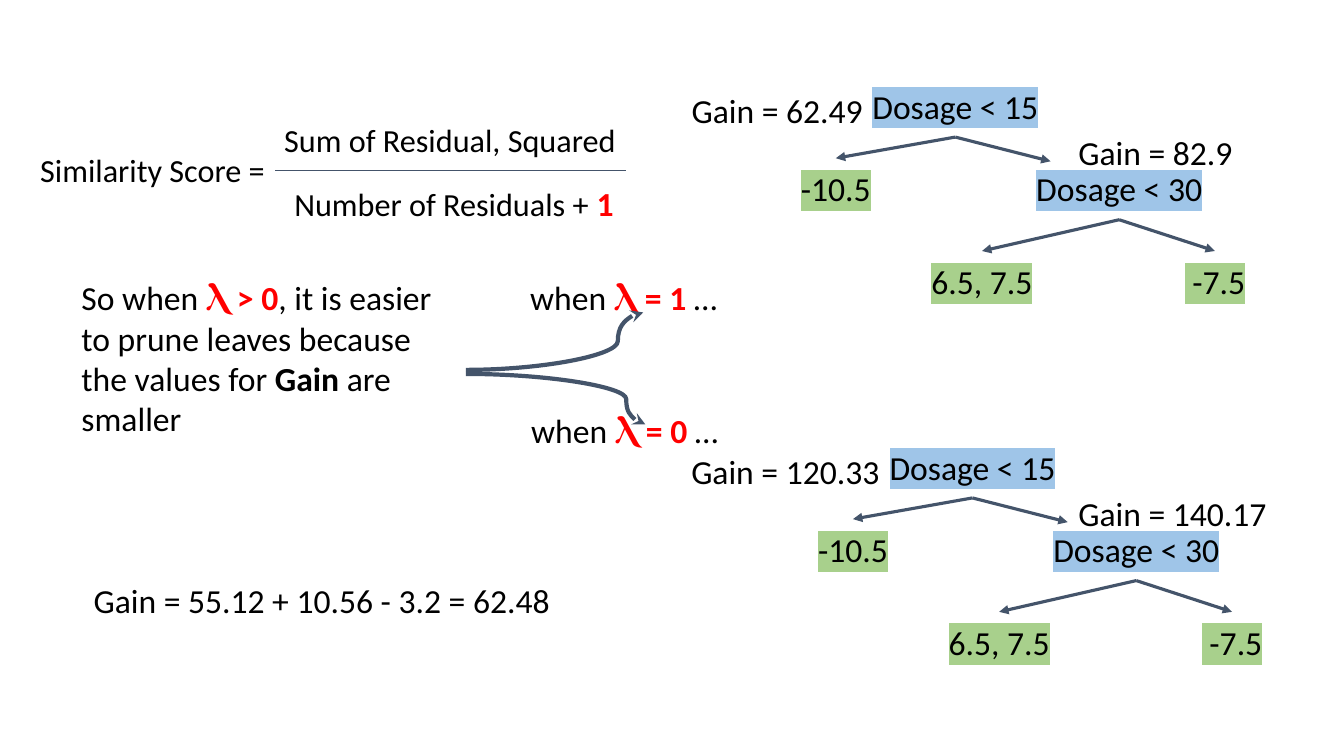
from dataclasses import dataclass
from typing import Optional

from lxml import etree
from pptx import Presentation
from pptx import util as u
from pptx.dml import color as c
from pptx.enum import shapes as s, text as t
from pptx.oxml import ns

BLACK = c.RGBColor(0x00, 0x00, 0x00)
RED = c.RGBColor(0xFF, 0x00, 0x00)
SLATE = c.RGBColor(0x44, 0x54, 0x6A)
BLUE = c.RGBColor(0x9F, 0xC5, 0xE8)
GREEN = c.RGBColor(0xA8, 0xD0, 0x8C)
FONT = "Calibri"
ROW = 0.61
LEAF = 2.12


@dataclass(frozen=True)
class Word:
    text: str
    size: int = 24
    bold: bool = False
    tint: c.RGBColor = BLACK
    mark: Optional[c.RGBColor] = None


@dataclass(frozen=True)
class Label:
    left: float
    top: float
    width: float
    words: tuple[Word, ...]
    height: float = ROW
    align: t.PP_ALIGN = t.PP_ALIGN.LEFT


@dataclass(frozen=True)
class Node:
    name: str
    left: float
    top: float
    width: float
    text: str
    mark: c.RGBColor


@dataclass(frozen=True)
class Tree:
    shift: float
    drop: float
    left: float
    gain: str
    split: str


@dataclass(frozen=True)
class Curve:
    start: tuple[float, float]
    end: tuple[float, float]
    bend: int


NODES = (
    Node("low", 7.23, 1.57, LEAF, "-10.5", GREEN),
    Node("split", 10.04, 1.57, LEAF, "Dosage < 30", BLUE),
    Node("root", 7.78, 0.75, 3.39, "Dosage < 15", BLUE),
    Node("mid", 8.68, 2.49, LEAF, "6.5, 7.5", GREEN),
    Node("high", 10.99, 2.49, LEAF, " -7.5", GREEN),
)
LINKS = (("root", "low"), ("split", "mid"), ("split", "high"))
TREES = (
    Tree(0, 0, 6.13, "Gain = 62.49", "Gain = 82.9"),
    Tree(0.17, 3.58, 6.21, "Gain = 120.33", "Gain = 140.17"),
)


def case(left: float, top: float, value: int) -> Label:
    return Label(left, top, 3.28, (
        Word("when"), Word(f" Ⲗ = {value} ", bold=True, tint=RED), Word("…")))


LABELS = (
    case(5.16, 2.65, 1),
    case(5.17, 3.97, 0),
    Label(0.71, 2.65, 3.69, (
        Word("So when "),
        Word("Ⲗ > 0", bold=True, tint=RED),
        Word(", it is easier to prune leaves because the values for "),
        Word("Gain ", bold=True),
        Word("are smaller"),
    ), height=1.82),
    Label(0.3, 1.39, 3.4, (Word("Similarity Score =", 23),), height=0.59),
    Label(2.72, 1.09, 4.38, (Word("Sum of Residual, Squared", 23),), height=0.59),
    Label(2.82, 1.71, 4.38, (
        Word("Number of Residuals + ", 23), Word("1", bold=True, tint=RED))),
    Label(0.83, 5.65, 5.29, (Word("Gain = 55.12 + 10.56 - 3.2 = 62.48"),)),
)
CURVES = (
    Curve((4.62, 3.71), (6.4, 4.21), 89400),
    Curve((4.62, 3.67), (6.38, 3.1), 85700),
)


def add_label(slide, label: Label):
    box = slide.shapes.add_textbox(*map(u.Inches, (
        label.left, label.top, label.width, label.height)))
    frame = box.text_frame
    frame.word_wrap = True
    frame.auto_size = t.MSO_AUTO_SIZE.SHAPE_TO_FIT_TEXT
    frame.margin_left = frame.margin_right = u.Inches(0.1)
    frame.margin_top = frame.margin_bottom = u.Inches(0.1)
    para = frame.paragraphs[0]
    para.alignment = label.align
    for word in label.words:
        run = para.add_run()
        run.text = word.text
        font = run.font
        font.name, font.size, font.bold = FONT, u.Pt(word.size), word.bold
        font.color.rgb = word.tint
        if word.mark is not None:
            light = etree.Element(ns.qn("a:highlight"))
            etree.SubElement(light, ns.qn("a:srgbClr"), val=str(word.mark))
            run._r.rPr.find(ns.qn("a:solidFill")).addnext(light)
    return box


def add_line(slide, start: tuple[float, float], end: tuple[float, float],
             width: float = 2.25, head: Optional[str] = "triangle",
             kind: s.MSO_CONNECTOR = s.MSO_CONNECTOR.STRAIGHT):
    line = slide.shapes.add_connector(kind, *map(u.Inches, (*start, *end)))
    line.line.color.rgb = SLATE
    line.line.width = u.Pt(width)
    props = line._element.spPr
    if head:
        etree.SubElement(props.find(ns.qn("a:ln")), ns.qn("a:tailEnd"), type=head)
    etree.SubElement(props, ns.qn("a:effectLst"))
    return line


def add_curve(slide, curve: Curve) -> None:
    line = add_line(slide, curve.start, curve.end, 3, "stealth", s.MSO_CONNECTOR.CURVE)
    guides = line._element.spPr.find(ns.qn("a:prstGeom")).find(ns.qn("a:avLst"))
    etree.SubElement(guides, ns.qn("a:gd"), name="adj1", fmla=f"val {curve.bend}")


def add_tree(slide, tree: Tree) -> None:
    mid = t.PP_ALIGN.CENTER
    boxes = {}
    for node in NODES:
        boxes[node.name] = add_label(slide, Label(
            node.left + tree.shift, node.top + tree.drop, node.width,
            (Word(node.text, mark=node.mark),), align=mid))
    add_label(slide, Label(tree.left, 0.79 + tree.drop, 3.16, (Word(tree.gain),), align=mid))
    add_label(slide, Label(9.88 + tree.shift, 1.21 + tree.drop, 3.16,
                           (Word(tree.split),), align=mid))
    for above, below in LINKS:
        line = add_line(slide, (0, 0), (1, 1))
        line.begin_connect(boxes[above], 2)
        line.end_connect(boxes[below], 0)
    end = (10.42 + tree.shift, 1.6 + tree.drop)
    line = add_line(slide, (9.48 + tree.shift, 1.36 + tree.drop), end)
    line.begin_connect(boxes["root"], 2)


def main() -> None:
    deck = Presentation()
    deck.slide_width, deck.slide_height = u.Inches(13.33), u.Inches(7.5)
    slide = deck.slides.add_slide(deck.slide_layouts[6])
    for tree in TREES:
        add_tree(slide, tree)
    for label in LABELS:
        add_label(slide, label)
    for curve in CURVES:
        add_curve(slide, curve)
    add_line(slide, (2.73, 1.69), (6.21, 1.69), 0.75, None)
    deck.save("out.pptx")


if __name__ == "__main__":
    main()
